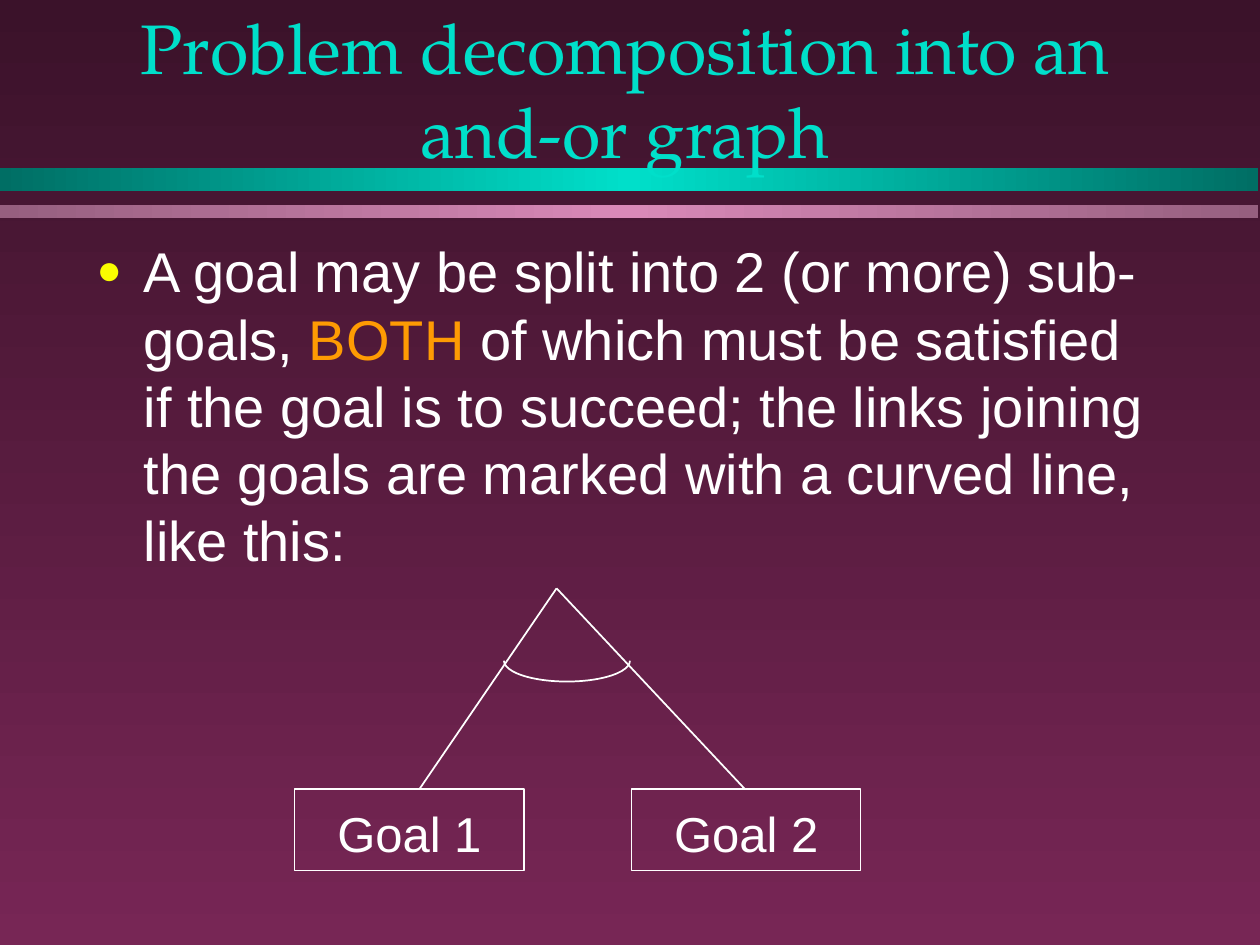
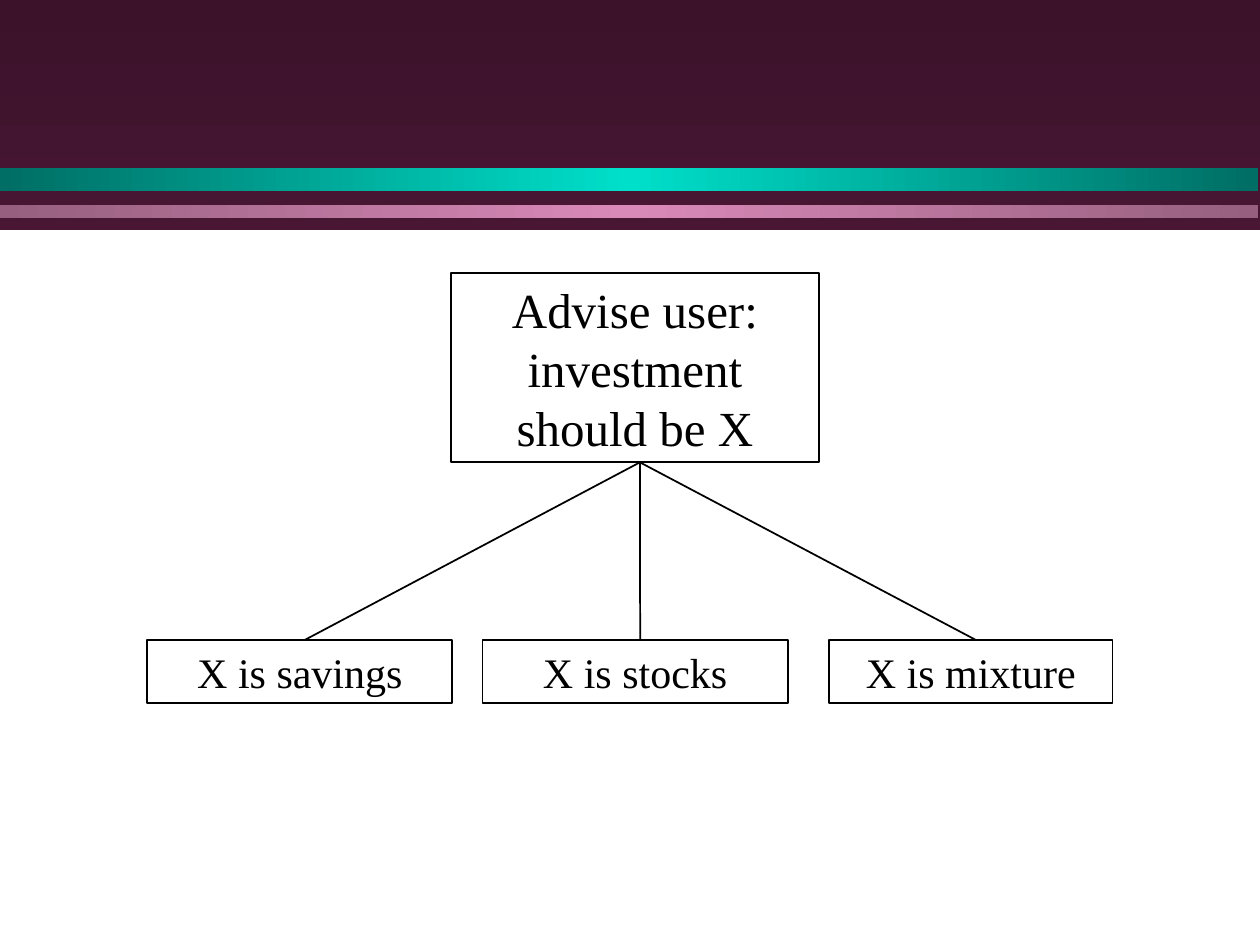
from copy import deepcopy
from lxml.etree import SubElement
from pptx import Presentation
from pptx.dml.color import RGBColor as RGB
from pptx.enum.shapes import MSO_CONNECTOR, MSO_SHAPE as SHAPE
from pptx.enum.text import MSO_ANCHOR, MSO_AUTO_SIZE, PP_ALIGN as ALIGN
from pptx.oxml.ns import qn
from pptx.util import Cm, Pt

WHITE, BLACK = RGB(255, 255, 255), RGB(0, 0, 0)
TEAL, PINK = RGB(0x00, 0xDF, 0xCA), RGB(0xD9, 0x89, 0xB8)
DARK_TEAL, DARK_PINK = RGB(0x00, 0x6E, 0x64), RGB(0x96, 0x5F, 0x7F)
NIGHT, PLUM = RGB(0x3B, 0x12, 0x2A), RGB(0x77, 0x26, 0x55)
ORANGE, YELLOW = RGB(0xFE, 0x9B, 0x03), RGB(0xFA, 0xFD, 0x00)
HEAD, SANS, SERIF = "TeX Gyre Pagella", "Arial", "Times New Roman"

# All lengths are in cm; a box is left, top, width, height.
PAGE = (25.4, 19.05)
BANDS = [
    ((0, 3.38, 25.37, 0.48), (DARK_TEAL, TEAL, DARK_TEAL)),
    ((0, 4.14, 25.37, 0.25), (DARK_PINK, PINK, DARK_PINK)),
]

TITLE = "Problem decomposition into an and-or graph"
TITLE_BOX = (1.7, 0.63, 21.8, 2.97)
POINT = [
    ("A goal may be split into 2 (or more) sub-goals, ", WHITE),
    ("BOTH", ORANGE),
    (" of which must be satisfied if the goal is to succeed; the links "
     "joining the goals are marked with a curved line, like this:", WHITE),
]
POINT_BOX = (1.7, 4.65, 21.8, 13.54)
APEX = (11.22, 11.86)
GOAL_TOP, GOAL_SIZE = 15.9, (4.62, 1.65)
GOALS = [("Goal 1", 5.94, 8.46), ("Goal 2", 12.73, 15.01)]  # text, left, link end
ARC_BOX = (10.16, 12.9, 2.54, 0.84)

SHEET = (0, 4.65, 25.4, 14.4)
ROOT = ("Advise user: investment should be X", (9.09, 5.51, 7.42, 3.81))
LEAF_TOP, LEAF_HIGH = 12.9, 1.27
LEAVES = [("X is savings", 2.97, 6.15), ("X is stocks", 9.73, 6.15),
          ("X is mixture", 16.71, 5.72)]  # text, left, width
SHIFT = 0.1  # links meet the boxes just right of centre


def place(box):
    return [Cm(n) for n in box]


def blend(fill, tints, angle=0):
    """Fill with evenly spaced gradient stops."""
    fill.gradient()
    fill.gradient_angle = angle
    last = fill.gradient_stops[-1]._gs
    for _ in tints[2:]:
        last.addnext(deepcopy(last))
    for i, (stop, tint) in enumerate(zip(fill.gradient_stops, tints)):
        stop.color.rgb = tint
        stop.position = i / (len(tints) - 1)


def style(para, font, size, color=None, align=None):
    para.font.name, para.font.size = font, Pt(size)
    if color is not None:
        para.font.color.rgb = color
    para.alignment = align


def draw(slide, box, line=None, kind=SHAPE.RECTANGLE):
    """Add an unfilled shape, outlined only if a line colour is given."""
    shape = slide.shapes.add_shape(kind, *place(box))
    shape.shadow.inherit = False
    shape.fill.background()
    if line is None:
        shape.line.fill.background()
    else:
        shape.line.color.rgb, shape.line.width = line, Pt(1)
    return shape


def link(slide, start, end, color):
    wire = slide.shapes.add_connector(MSO_CONNECTOR.STRAIGHT, *place(start + end))
    wire.line.color.rgb, wire.line.width = color, Pt(1)
    SubElement(wire._element.spPr, qn("a:effectLst"))


def write(slide, box):
    """Add a wrapping text box and return its first paragraph."""
    frame = slide.shapes.add_textbox(*place(box)).text_frame
    frame.word_wrap = True
    return frame.paragraphs[0]


def node(slide, text, box, size):
    frame = draw(slide, box, BLACK).text_frame
    frame.vertical_anchor = MSO_ANCHOR.TOP
    frame.text = text
    style(frame.paragraphs[0], SERIF, size, BLACK, ALIGN.CENTER)


def bullet(para, indent, color):
    props = para._p.get_or_add_pPr()
    props.set("marL", str(Cm(indent)))
    props.set("indent", str(-Cm(indent)))
    tint = SubElement(props, qn("a:buClr"))
    SubElement(tint, qn("a:srgbClr"), val=str(color))
    SubElement(props, qn("a:buSzPct"), val="75000")
    SubElement(props, qn("a:buFont"), typeface=SANS)
    SubElement(props, qn("a:buChar"), char="●")


def theme(deck, slide):
    """Set the master background and move the bands onto the master."""
    master = deck.slide_master
    blend(master.background.fill, (NIGHT, PLUM), 270)
    for box, tints in BANDS:
        band = draw(slide, box)
        blend(band.fill, tints)
        master.shapes._spTree.insert(2, band._element)


def graph(slide):
    title = slide.shapes.title
    title.left, title.top, title.width, title.height = place(TITLE_BOX)
    frame = title.text_frame
    frame.text = TITLE
    frame.word_wrap, frame.auto_size = True, MSO_AUTO_SIZE.NONE
    frame.vertical_anchor = MSO_ANCHOR.BOTTOM
    style(frame.paragraphs[0], HEAD, 40, TEAL, ALIGN.CENTER)

    para = write(slide, POINT_BOX)
    style(para, SANS, 32)
    para.space_before = Pt(8)
    bullet(para, 0.95, YELLOW)
    for text, color in POINT:
        run = para.add_run()
        run.text, run.font.color.rgb = text, color

    wide, high = GOAL_SIZE
    for text, left, end in GOALS:
        link(slide, APEX, (end, GOAL_TOP), WHITE)
        draw(slide, (left, GOAL_TOP, wide, high), WHITE)
        para = write(slide, (left + 0.61, GOAL_TOP + 0.18, wide - 0.61, high - 0.2))
        para.text = text
        style(para, SANS, 28, WHITE)

    arc = draw(slide, ARC_BOX, WHITE, SHAPE.ARC)
    arc.adjustments[0], arc.adjustments[1] = 0, 108  # 0 to 180 degrees


def advice(slide):
    sheet = draw(slide, SHEET, WHITE)
    sheet.fill.solid()
    sheet.fill.fore_color.rgb = WHITE
    text, box = ROOT
    node(slide, text, box, 28)
    left, top, wide, high = box
    hub = (left + wide / 2 + SHIFT, top + high)
    for text, left, wide in LEAVES:
        node(slide, text, (left, LEAF_TOP, wide, LEAF_HIGH), 24)
        link(slide, hub, (left + wide / 2 + SHIFT, LEAF_TOP), BLACK)


def main():
    deck = Presentation()
    deck.slide_width, deck.slide_height = place(PAGE)
    titled, blank = deck.slide_layouts[5], deck.slide_layouts[6]
    first = deck.slides.add_slide(titled)
    theme(deck, first)
    graph(first)
    advice(deck.slides.add_slide(blank))
    deck.save("out.pptx")


if __name__ == "__main__":
    main()
